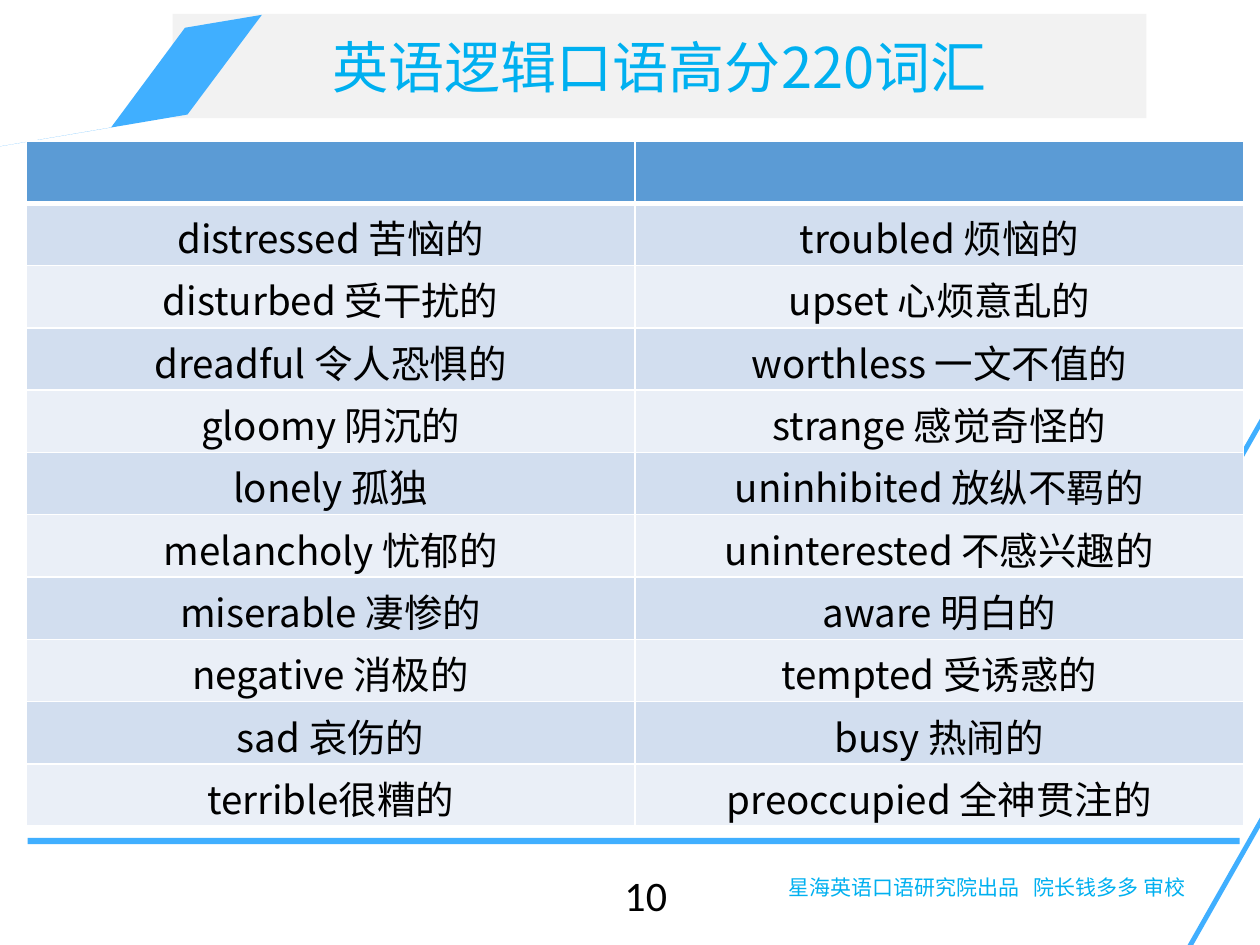
from typing import NamedTuple

from lxml.etree import SubElement
from pptx import Presentation
from pptx.dml.color import RGBColor
from pptx.enum.shapes import MSO_SHAPE
from pptx.enum.text import MSO_ANCHOR, MSO_AUTO_SIZE, PP_ALIGN
from pptx.oxml.ns import qn
from pptx.util import Cm, Pt

COLORS = {
    "accent": "40AFFF",
    "title": "00B0F0",
    "title_bar": "F2F2F2",
    "header": "5B9BD5",
    "band_dark": "D2DEEF",
    "band_light": "EAEFF7",
    "border": "FFFFFF",
    "text": "000000",
}
CJK_FONT = "Noto Sans CJK SC"


class Bar(NamedTuple):
    left: float
    top: float
    width: float
    height: float
    rotation: float = 0


class Label(NamedTuple):
    text: str
    left: float
    top: float
    width: float
    height: float
    size: float
    color: str
    font: str


BARS = [
    Bar(0.56, 16.89, 24.43, 0.13),
    Bar(25.6, 4.37, 0.1, 7.47, 29.6),
    Bar(25.35, 12.85, 0.1, 7.47, 29.6),
]
RIBBON = [(3.73, 0.56), (5.28, 0.3), (3.78, 2.31),
          (-0.58, 3.05), (2.24, 2.57)]
LABELS = [
    Label("星海英语口语研究院出品   院长钱多多 审校",
          15.65, 17.5, 8.71, 0.76, 12, "title", CJK_FONT),
    Label("10", 12.34, 17.4, 1.37, 1.27, 24, "text", "Calibri"),
]
WORDS = [
    ("distressed 苦恼的", "troubled 烦恼的"),
    ("disturbed 受干扰的", "upset 心烦意乱的"),
    ("dreadful 令人恐惧的", "worthless 一文不值的"),
    ("gloomy 阴沉的", "strange 感觉奇怪的"),
    ("lonely 孤独", "uninhibited 放纵不羁的"),
    ("melancholy 忧郁的", "uninterested 不感兴趣的"),
    ("miserable 凄惨的", "aware 明白的"),
    ("negative 消极的", "tempted 受诱惑的"),
    ("sad 哀伤的", "busy 热闹的"),
    ("terrible很糟的", "preoccupied 全神贯注的"),
]


def rgb(name: str) -> RGBColor:
    return RGBColor.from_string(COLORS[name])


def fill_shape(shape, color: str) -> None:
    shape.fill.solid()
    shape.fill.fore_color.rgb = rgb(color)
    shape.line.fill.background()
    shape.shadow.inherit = False


def format_text(text_frame, size: float, color: str, font: str, align=None) -> None:
    for paragraph in text_frame.paragraphs:
        paragraph.alignment = align
        for run in paragraph.runs:
            run.font.size = Pt(size)
            run.font.name = font
            run.font.color.rgb = rgb(color)
            SubElement(run.font._element, qn("a:ea"), typeface=font)


def add_title(slide, text: str) -> None:
    title = slide.shapes.title
    title.left, title.top, title.width, title.height = (
        Cm(3.48), Cm(0.28), Cm(19.63), Cm(2.1))
    title.fill.solid()
    title.fill.fore_color.rgb = rgb("title_bar")
    text_frame = title.text_frame
    text_frame.text = text
    text_frame.vertical_anchor = MSO_ANCHOR.MIDDLE
    text_frame.auto_size = MSO_AUTO_SIZE.NONE
    format_text(text_frame, 32, "title", CJK_FONT, PP_ALIGN.CENTER)


def add_bar(slide, bar: Bar) -> None:
    shape = slide.shapes.add_shape(
        MSO_SHAPE.RECTANGLE,
        Cm(bar.left), Cm(bar.top), Cm(bar.width), Cm(bar.height))
    shape.rotation = bar.rotation
    fill_shape(shape, "accent")


def add_ribbon(slide) -> None:
    start, *others = [(Cm(x), Cm(y)) for x, y in RIBBON]
    builder = slide.shapes.build_freeform(*start)
    builder.add_line_segments(others, close=True)
    fill_shape(builder.convert_to_shape(), "accent")


def add_label(slide, label: Label) -> None:
    box = slide.shapes.add_textbox(
        Cm(label.left), Cm(label.top), Cm(label.width), Cm(label.height))
    text_frame = box.text_frame
    text_frame.text = label.text
    text_frame.word_wrap = False
    text_frame.auto_size = MSO_AUTO_SIZE.SHAPE_TO_FIT_TEXT
    format_text(text_frame, label.size, label.color, label.font)


def format_cell(cell, fill: str, top_border: float, bottom_border: float) -> None:
    properties = cell._tc.get_or_add_tcPr()
    borders = {"a:lnL": 1, "a:lnR": 1, "a:lnT": top_border, "a:lnB": bottom_border}
    for tag, width in borders.items():
        line = SubElement(properties, qn(tag), w=str(Pt(width)))
        solid = SubElement(line, qn("a:solidFill"))
        SubElement(solid, qn("a:srgbClr"), val=COLORS["border"])
    cell.fill.solid()
    cell.fill.fore_color.rgb = rgb(fill)


def add_word_table(slide) -> None:
    row_count = len(WORDS) + 1
    table = slide.shapes.add_table(
        row_count, 2, Cm(0.53), Cm(2.84), Cm(24.54), Cm(13.82)).table
    # Header row stays empty
    for cell in table.rows[0].cells:
        format_cell(cell, "header", 1, 3)
    for index, words in enumerate(WORDS, start=1):
        band = "band_dark" if index % 2 else "band_light"
        top_border = 3 if index == 1 else 1
        for cell, word in zip(table.rows[index].cells, words):
            cell.text_frame.text = word
            cell.margin_left = cell.margin_right = Cm(0.18)
            cell.margin_top, cell.margin_bottom = Cm(0.12), Cm(0)
            format_text(cell.text_frame, 22, "text", CJK_FONT, PP_ALIGN.CENTER)
            format_cell(cell, band, top_border, 1)


def main() -> None:
    presentation = Presentation()
    presentation.slide_width, presentation.slide_height = Cm(25.4), Cm(19.05)
    slide = presentation.slides.add_slide(presentation.slide_layouts[5])

    # Title and decoration
    add_title(slide, "英语逻辑口语高分220词汇")
    add_ribbon(slide)
    for bar in BARS:
        add_bar(slide, bar)

    # Vocabulary, credit line and page number
    add_word_table(slide)
    for label in LABELS:
        add_label(slide, label)

    presentation.save("out.pptx")


if __name__ == "__main__":
    main()
